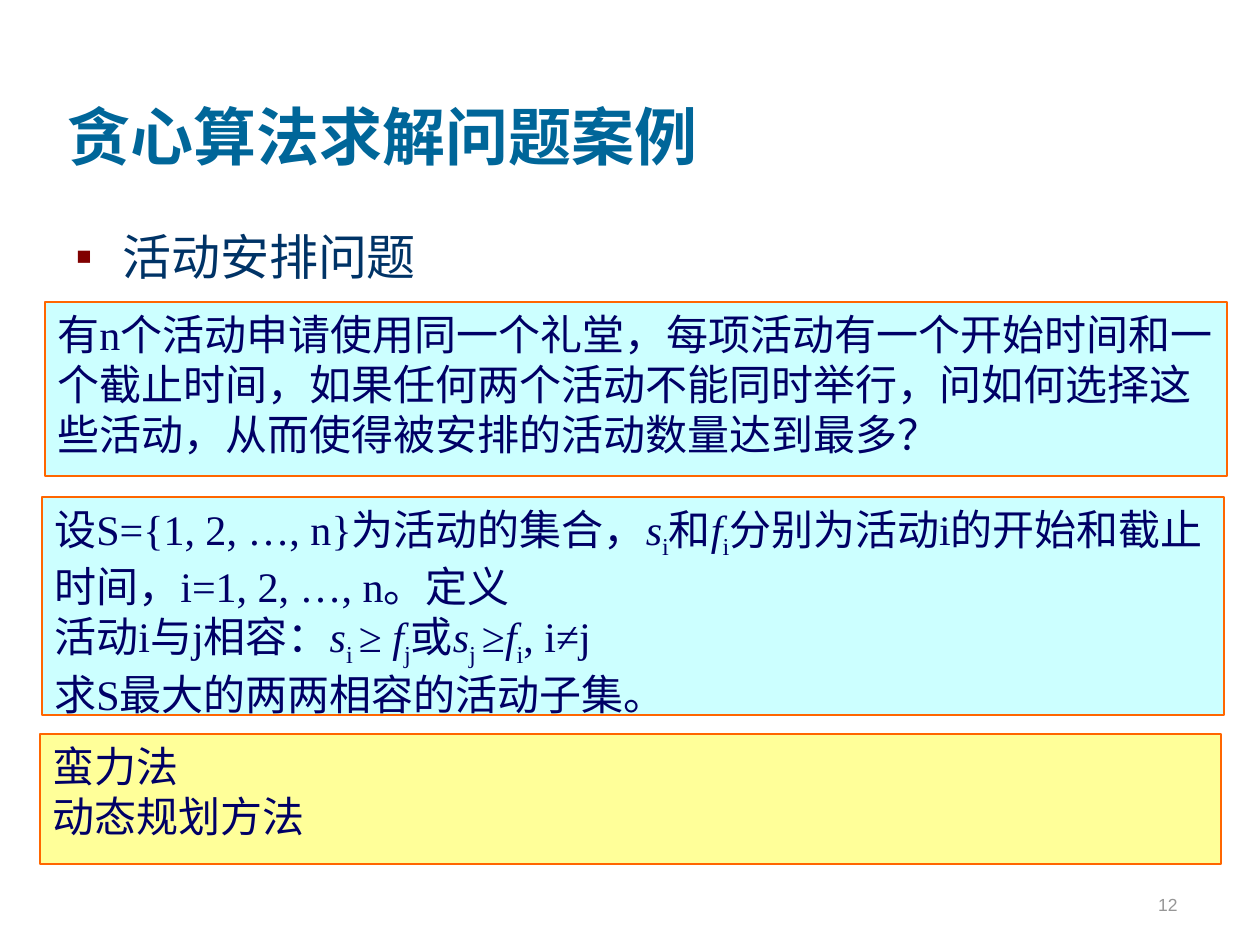
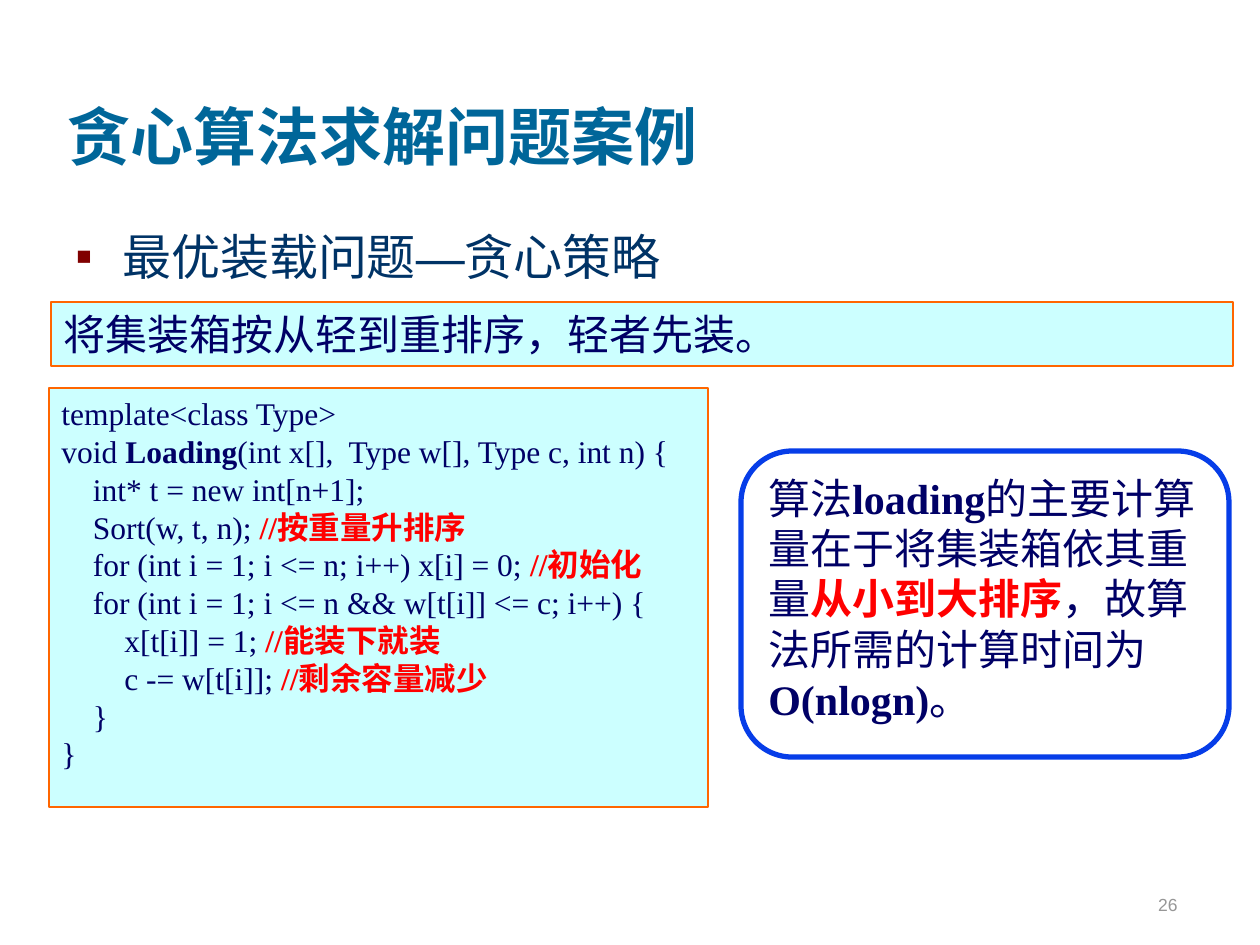
from dataclasses import dataclass
from typing import NamedTuple

from lxml import etree
from pptx import Presentation
from pptx import util as u
from pptx.dml.color import RGBColor
from pptx.enum import lang, shapes, text
from pptx.oxml import ns

EMU_PER_PX = 914400 / 126
SERIF, SANS = "Times New Roman", "Arial"
TITLE_BLUE, TOPIC_BLUE, INK = "006699", "003366", "000066"
RED, MAROON, GRAY = "FF0000", "800000", "969696"
CYAN, YELLOW, WHITE = "CCFFFF", "FFFF99", "FFFFFF"
ORANGE, ROYAL = "FF6600", "063DE8"
TOPIC_INDENT = 47


class Box(NamedTuple):
    left: int
    top: int
    width: int
    height: int


class Run(NamedTuple):
    text: str
    bold: bool = False
    italic: bool = False
    subscript: bool = False
    color: str = ""


@dataclass(frozen=True)
class Style:
    size: int
    color: str = INK
    font: str = SERIF
    bold: bool = False


@dataclass(frozen=True)
class Panel:
    box: Box
    lines: list[list[Run]]
    style: Style = Style(24)
    fill: str = CYAN
    line: str = ORANGE
    line_width: int = 1
    rounded: bool = False


@dataclass(frozen=True)
class CasePage:
    number: int
    topic: str
    panels: list[Panel]


TITLE = "贪心算法求解问题案例"
TITLE_BOX = Box(55, 21, 1071, 158)
TOPIC_BOX = Box(63, 220, 1126, 615)
NUMBER_BOX = Box(927, 858, 263, 63)
TITLE_STYLE = Style(36, TITLE_BLUE, bold=True)
TOPIC_STYLE = Style(28, TOPIC_BLUE)
NUMBER_STYLE = Style(10, GRAY, SANS)


def px(value: int) -> u.Emu:
    return u.Emu(round(value * EMU_PER_PX))


def rgb(color: str) -> RGBColor:
    return RGBColor.from_string(color)


def variable(name: str, index: str) -> list[Run]:
    """An italic name with a lowered index."""
    return [Run(name, italic=True), Run(index, subscript=True)]


def comment(words: str) -> Run:
    return Run("//" + words, bold=True, color=RED)


def format_run(run, style: Style, spec_run: Run) -> None:
    """Set Latin letters in the style's font and Chinese ones in sans."""
    font = run.font
    font.size = u.Pt(style.size)
    font.bold = style.bold or spec_run.bold
    font.italic = spec_run.italic
    font.color.rgb = rgb(spec_run.color or style.color)
    font.name = style.font
    font.language_id = lang.MSO_LANGUAGE_ID.SIMPLIFIED_CHINESE
    properties = run._r.get_or_add_rPr()
    etree.SubElement(properties, ns.qn("a:ea"), typeface=SANS)
    if spec_run.subscript:
        properties.set("baseline", "-25000")


def write_lines(frame, lines: list[list[Run]], style: Style) -> None:
    frame.word_wrap = True
    frame.text = "\n".join("" for _ in lines)
    for paragraph, line in zip(frame.paragraphs, lines):
        paragraph.alignment = text.PP_ALIGN.LEFT
        for spec_run in line:
            run = paragraph.add_run()
            run.text = spec_run.text
            format_run(run, style, spec_run)


def add_label(slide, box: Box, words: str, style: Style,
              anchor: text.MSO_ANCHOR = text.MSO_ANCHOR.BOTTOM):
    """Add a one-line text box and return its paragraph."""
    frame = slide.shapes.add_textbox(*map(px, box)).text_frame
    write_lines(frame, [[Run(words)]], style)
    frame.vertical_anchor = anchor
    return frame.paragraphs[0]


def add_bullet(paragraph) -> None:
    properties = paragraph._p.get_or_add_pPr()
    properties.set("marL", str(px(TOPIC_INDENT)))
    properties.set("indent", str(-px(TOPIC_INDENT)))
    color = etree.SubElement(properties, ns.qn("a:buClr"))
    etree.SubElement(color, ns.qn("a:srgbClr"), val=MAROON)
    etree.SubElement(properties, ns.qn("a:buFont"), typeface=SANS)
    etree.SubElement(properties, ns.qn("a:buChar"), char="▪")


def add_panel(slide, panel: Panel) -> None:
    kind = shapes.MSO_SHAPE.ROUNDED_RECTANGLE if panel.rounded else shapes.MSO_SHAPE.RECTANGLE
    shape = slide.shapes.add_shape(kind, *map(px, panel.box))
    shape.shadow.inherit = False
    shape.fill.solid()
    shape.fill.fore_color.rgb = rgb(panel.fill)
    shape.line.color.rgb = rgb(panel.line)
    shape.line.width = u.Pt(panel.line_width)
    shape.text_frame.vertical_anchor = text.MSO_ANCHOR.TOP
    write_lines(shape.text_frame, panel.lines, panel.style)


def add_page(presentation, page: CasePage) -> None:
    slide = presentation.slides.add_slide(presentation.slide_layouts[6])
    add_label(slide, TITLE_BOX, TITLE, TITLE_STYLE)
    add_bullet(add_label(slide, TOPIC_BOX, page.topic, TOPIC_STYLE, text.MSO_ANCHOR.TOP))
    number = add_label(slide, NUMBER_BOX, str(page.number), NUMBER_STYLE)
    number.alignment = text.PP_ALIGN.RIGHT
    for panel in page.panels:
        add_panel(slide, panel)


QUESTION = [[Run("有n个活动申请使用同一个礼堂，每项活动有一个开始时间和一个截止时间，"
                 "如果任何两个活动不能同时举行，问如何选择这些活动，"
                 "从而使得被安排的活动数量达到最多？")]]
MODEL = [
    [Run("设S={1, 2, …, n}为活动的集合，"), *variable("s", "i"), Run("和"),
     *variable("f", "i"), Run("分别为活动i的开始和截止时间，i=1, 2, …, n。定义")],
    [Run("活动i与j相容："), *variable("s", "i "), Run("≥ "), *variable("f", "j"),
     Run("或"), *variable("s", "j "), Run("≥"), *variable("f", "i"), Run(", i≠j")],
    [Run("求S最大的两两相容的活动子集。")],
]
METHODS = [[Run("蛮力法")], [Run("动态规划方法")]]
STRATEGY = [[Run("将集装箱按从轻到重排序，轻者先装。")]]
LOADING_CODE = [
    [Run("template<class Type>")],
    [Run("void "), Run("Loading", bold=True),
     Run("(int x[],  Type w[], Type c, int n) {")],
    [Run("    int* t = new int[n+1];")],
    [Run("    Sort(w, t, n); "), comment("按重量升排序")],
    [Run("    for (int i = 1; i <= n; i++) x[i] = 0; "), comment("初始化")],
    [Run("    for (int i = 1; i <= n && w[t[i]] <= c; i++) {")],
    [Run("        x[t[i]] = 1; "), comment("能装下就装")],
    [Run("        c -= w[t[i]]; "), comment("剩余容量减少")],
    [Run("    }")],
    [Run("}")],
]
COMPLEXITY = [[
    Run("算法"), Run("loading", bold=True), Run("的主要计算量在于将集装箱依其重量"),
    Run("从小到大排序", bold=True, color=RED), Run("，故算法所需的计算时间为 "),
    Run("O(nlogn)", bold=True), Run("。"),
]]

PAGES = [
    CasePage(12, "活动安排问题", [
        Panel(Box(45, 302, 1182, 174), QUESTION),
        Panel(Box(42, 497, 1182, 218), MODEL),
        Panel(Box(40, 734, 1181, 130), METHODS, fill=YELLOW),
    ]),
    CasePage(26, "最优装载问题—贪心策略", [
        Panel(Box(51, 302, 1182, 64), STRATEGY),
        Panel(Box(49, 388, 659, 419), LOADING_CODE, Style(18)),
        Panel(Box(741, 451, 488, 306), COMPLEXITY, fill=WHITE, line=ROYAL,
              line_width=3, rounded=True),
    ]),
]


def main() -> None:
    presentation = Presentation()
    presentation.slide_width, presentation.slide_height = px(1260), px(945)
    for page in PAGES:
        add_page(presentation, page)
    presentation.save("out.pptx")


if __name__ == "__main__":
    main()
